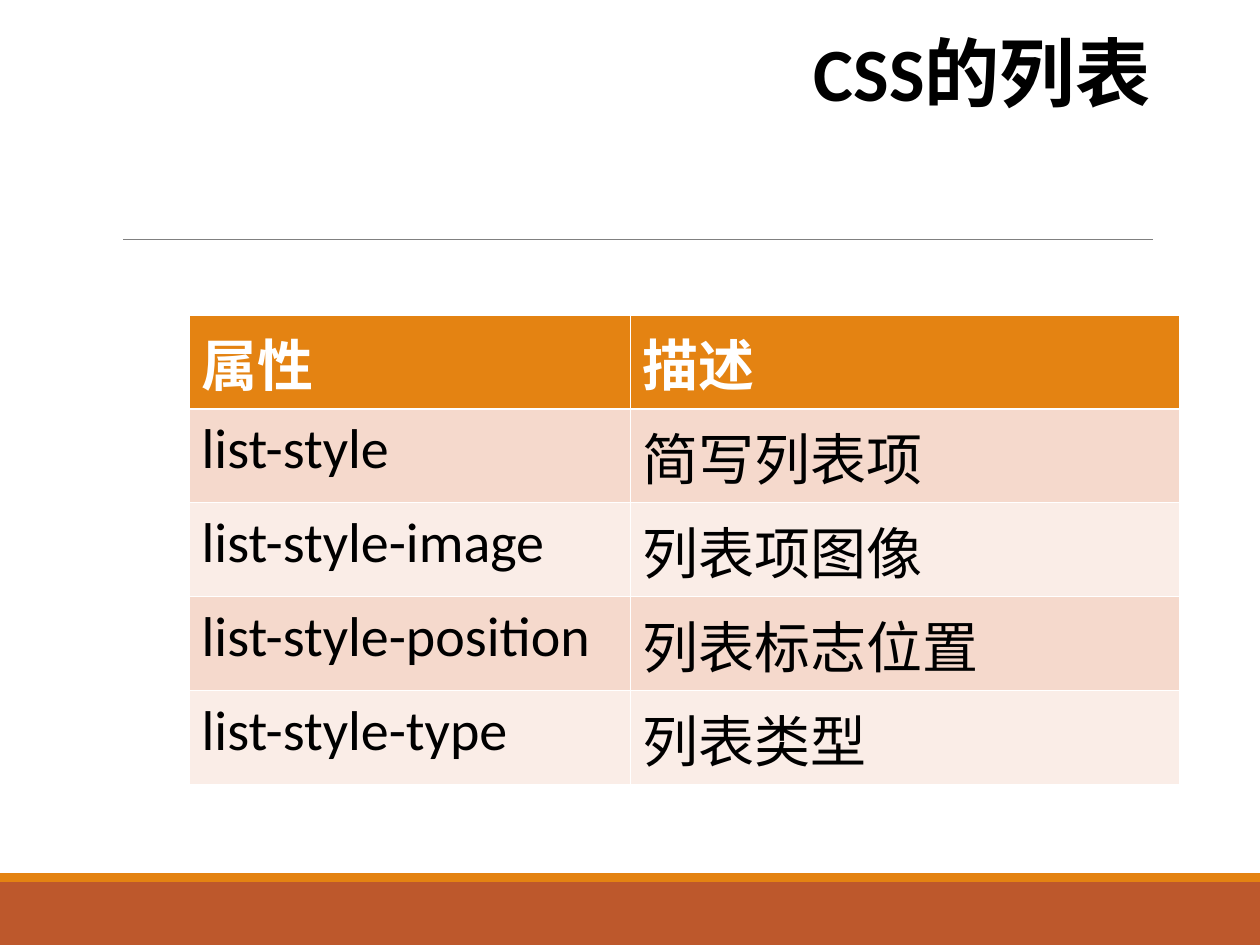
from lxml import etree
from pptx import Presentation
from pptx.dml.color import RGBColor
from pptx.enum import shapes, text
from pptx.oxml.ns import qn
from pptx.util import Inches, Pt

TITLE = "CSS的列表"
ROWS = [
    ("属性", "描述"),
    ("list-style", "简写列表项"),
    ("list-style-image", "列表项图像"),
    ("list-style-position", "列表标志位置"),
    ("list-style-type", "列表类型"),
]
COLUMN_WIDTHS = (3.5, 4.36)
ROW_HEIGHT = 0.63
BANDS = [
    (7, 0.5, "rust"),
    (6.93, 0.07, "orange"),
]
COLORS = {
    "rust": "BD582C",
    "orange": "E48312",
    "gray": "808080",
    "black": "000000",
    "white": "FFFFFF",
    "odd": "F5D9CC",
    "even": "FAEDE7",
}
FONT = "Calibri"


def color(name):
    return RGBColor.from_string(COLORS[name])


def style_font(font, size, color_name, bold):
    font.name = FONT
    font.size = Pt(size)
    font.bold = bold
    font.color.rgb = color(color_name)


def add_band(slide, top, height, color_name):
    band = slide.shapes.add_shape(
        shapes.MSO_SHAPE.RECTANGLE, 0, Inches(top), Inches(10), Inches(height))
    band.shadow.inherit = False
    band.fill.solid()
    band.fill.fore_color.rgb = color(color_name)
    band.line.fill.background()


def add_rule(slide):
    rule = slide.shapes.add_connector(
        shapes.MSO_CONNECTOR.STRAIGHT,
        Inches(0.98), Inches(1.9), Inches(9.15), Inches(1.9))
    rule.line.color.rgb = color("gray")
    rule.line.width = Pt(0.5)
    etree.SubElement(rule._element.spPr, qn("a:effectLst"))


def set_title(slide):
    title = slide.shapes.title
    title.left, title.top = Inches(6.36), Inches(0.27)
    title.width, title.height = Inches(2.9), Inches(0.72)
    frame = title.text_frame
    frame.text = TITLE
    frame.word_wrap = True
    frame.auto_size = text.MSO_AUTO_SIZE.NONE
    frame.vertical_anchor = text.MSO_ANCHOR.TOP
    paragraph = frame.paragraphs[0]
    paragraph.alignment = text.PP_ALIGN.LEFT
    paragraph.line_spacing = 0.85
    style_font(paragraph.font, 43, "black", True)


def set_borders(cell, widths):
    properties = cell._tc.get_or_add_tcPr()
    for index, (side, width) in enumerate(widths.items()):
        line = etree.Element(qn(f"a:ln{side}"), w=str(Pt(width)))
        fill = etree.SubElement(line, qn("a:solidFill"))
        etree.SubElement(fill, qn("a:srgbClr"), val=COLORS["white"])
        properties.insert(index, line)


def add_property_table(slide):
    table = slide.shapes.add_table(
        len(ROWS), len(COLUMN_WIDTHS), Inches(1.5), Inches(2.5),
        Inches(sum(COLUMN_WIDTHS)), Inches(ROW_HEIGHT * len(ROWS))).table
    for column, width in zip(table.columns, COLUMN_WIDTHS):
        column.width = Inches(width)
    for row_index, values in enumerate(ROWS):
        header = row_index == 0
        fill_name = "orange" if header else ("even", "odd")[row_index % 2]
        table.rows[row_index].height = Inches(ROW_HEIGHT)
        for column_index, value in enumerate(values):
            cell = table.cell(row_index, column_index)
            cell.text = value
            cell.fill.solid()
            cell.fill.fore_color.rgb = color(fill_name)
            style_font(cell.text_frame.paragraphs[0].font, 32,
                       "white" if header else "black", header)
            set_borders(cell, {
                "L": 0.45,
                "R": 0.45,
                "T": 1.47 if row_index == 1 else 0.45,
                "B": 1.47 if header else 0.45,
            })


def main():
    presentation = Presentation()
    presentation.slide_width = Inches(10)
    presentation.slide_height = Inches(7.5)
    slide = presentation.slides.add_slide(presentation.slide_layouts[5])
    for band in BANDS:
        add_band(slide, *band)
    add_rule(slide)
    set_title(slide)
    add_property_table(slide)
    presentation.save("out.pptx")


if __name__ == "__main__":
    main()
